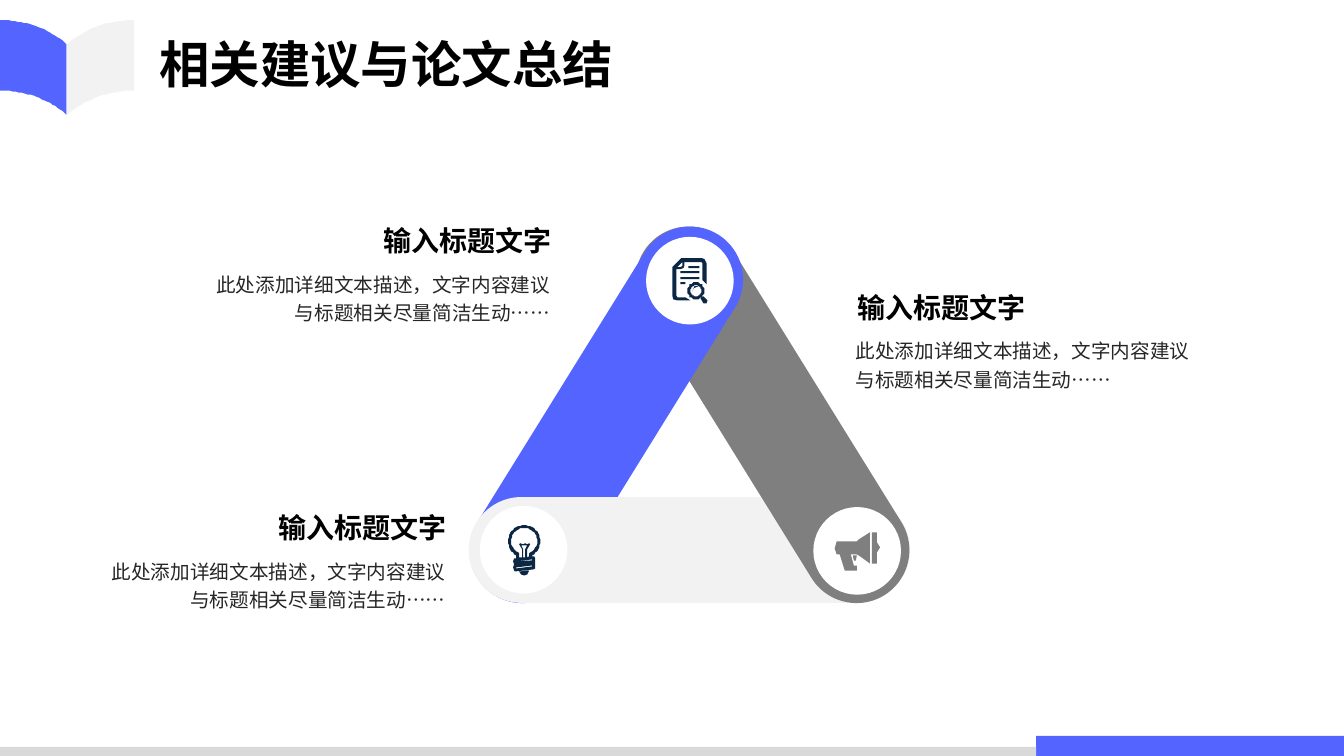
"""Build a summary slide with a three-sided loop of pills, icons and labels."""
from dataclasses import dataclass
from math import cos, radians, sin

from pptx import Presentation
from pptx.dml.color import RGBColor
from pptx.enum import lang, shapes, text
from pptx.util import Pt

Point = tuple[float, float]
Contour = list[Point]


@dataclass(frozen=True)
class Theme:
    blue: str = "5465FF"
    gray: str = "7F7F7F"
    light: str = "F2F2F2"
    rule: str = "D9D9D9"
    white: str = "FFFFFF"
    navy: str = "0C2744"
    black: str = "000000"
    body: str = "262626"
    title_font: str = "Noto Sans CJK SC"
    text_font: str = "Arial"
    title_size: float = 36
    heading_size: float = 20
    body_size: float = 14


@dataclass(frozen=True)
class Block:
    kind: shapes.MSO_SHAPE
    left: float
    top: float
    width: float
    height: float
    color: str
    rotation: float = 0


@dataclass(frozen=True)
class Outline:
    left: float
    top: float
    contours: list[Contour]
    color: str


@dataclass(frozen=True)
class Label:
    heading_left: float
    body_left: float
    top: float
    align: text.PP_ALIGN


THEME = Theme()
GRID = Pt(0.72)
PILL = 75.6
DISC = 62.6
HEADING = "输入标题文字"
BODY = "此处添加详细文本描述，文字内容建议与标题相关尽量简洁生动……"
RECT, ROUND, OVAL = (shapes.MSO_SHAPE.RECTANGLE, shapes.MSO_SHAPE.ROUNDED_RECTANGLE,
                     shapes.MSO_SHAPE.OVAL)
LEFT, RIGHT = text.PP_ALIGN.LEFT, text.PP_ALIGN.RIGHT


def arc(cx: float, cy: float, r: float, start: float = 0, end: float = 360,
        steps: int = 40) -> Contour:
    angles = [radians(start + (end - start) * i / steps) for i in range(steps + 1)]
    return [(cx + r * cos(a), cy + r * sin(a)) for a in angles]


def bezier(a: Point, b: Point, c: Point, d: Point, steps: int = 24) -> Contour:
    weights = [((1 - t) ** 3, 3 * t * (1 - t) ** 2, 3 * t * t * (1 - t), t ** 3)
               for t in (i / steps for i in range(steps + 1))]
    return [(sum(w * p[0] for w, p in zip(ws, (a, b, c, d))),
             sum(w * p[1] for w, p in zip(ws, (a, b, c, d)))) for ws in weights]


def bar(x: float, y: float, width: float) -> Contour:
    return [(x, y), (x + width, y), (x + width, y + 2), (x, y + 2)]


PAGE = (bezier((0, 90), (26, 90), (49, 99), (66.5, 114))
        + bezier((66.5, 44), (48, 28), (25, 20), (0, 20)))
DOCUMENT = [
    [(9, 0), (29, 0), (32, 1), (34, 5), (34, 26), (30, 22), (30, 5), (29, 4), (12, 4),
     (12, 8), (11, 10), (8, 11), (4, 11), (4, 37), (5, 39), (13, 39), (18, 42), (5, 42),
     (1, 41), (0, 37), (0, 9)],
    [(10, 4), (5, 9), (8, 9), (10, 8)],
    bar(8, 24, 5), bar(8, 19, 19), bar(8, 13, 19), bar(16, 8, 11),
    arc(23.5, 32.5, 8.5), arc(23.5, 32.5, 5.5),
    [(28, 40), (31, 45), (34, 45), (35, 42), (31, 38)],
    [(20, 33), (21, 30), (26, 28), (22, 28)],
]
BULB = [
    arc(16, 16, 16, 120, 420) + [
        (24, 31), (26, 31), (27, 33), (27, 43), (25, 44), (7, 46), (6, 45), (5, 42),
        (6, 39), (5, 36), (6, 33), (8, 33)],
    arc(16, 16, 13, 112, 428) + [
        (21, 31), (19, 32), (19, 24), (22, 19), (21, 18), (19, 19), (17, 18), (15, 19),
        (12, 18), (11, 19), (14, 24), (14, 32), (11, 32)],
    [(19, 20), (13, 20), (15, 24), (15, 32), (17, 32), (17, 24)],
    [(21, 45), (11, 46), (13, 49), (16, 50), (19, 49)],
    [(24, 40), (8, 42), (8, 43), (24, 41)],
    [(24, 34), (8, 36), (8, 36.5), (24, 35)],
]
MEGAPHONE = [
    [(2, 9), (22, 9), (24, 7), (35, 0), (35, 31), (24, 23), (22, 22), (16, 22), (19, 33),
     (22, 33), (22, 38), (10, 38), (5, 22), (2, 22), (0.5, 15.5)],
    [(42, 10), (45, 15), (42, 20), (42, 31), (37, 31), (37, 0), (42, 0)],
    [(22, 23), (18, 23), (19, 28), (21, 28)],
]

BLOCKS = [
    Block(RECT, 740.2, 525.6, 219.8, 14.4, THEME.blue),
    Block(RECT, 0, 533.5, 740.2, 6.5, THEME.rule),
    Block(ROUND, 336.2, 355, 313.9, PILL, THEME.light),
    Block(ROUND, 400.3, 258.5, 303.1, PILL, THEME.gray, 58.2),
    Block(ROUND, 281.5, 258.5, 303.1, PILL, THEME.blue, 301.8),
    Block(ROUND, 334.8, 355, 162, PILL, THEME.light),
    Block(OVAL, 461.5, 169.2, DISC, DISC, THEME.white),
    Block(OVAL, 342.7, 361.4, DISC, DISC, THEME.white),
    Block(OVAL, 581, 362.2, DISC, DISC, THEME.white),
]
OUTLINES = [
    Outline(0, 0, [[(133 - x, y) for x, y in PAGE]], THEME.light),
    Outline(0, 0, [PAGE], THEME.blue),
    Outline(480.2, 184.3, DOCUMENT, THEME.navy),
    Outline(362.9, 375.1, BULB, THEME.navy),
    Outline(596.2, 380.2, MEGAPHONE, THEME.gray),
]
LABELS = [
    Label(189.4, 134.6, 156.2, RIGHT),
    Label(114.5, 59.8, 361.4, RIGHT),
    Label(527.8, 604.1, 203.8, LEFT),
]


def paint(sp, color: str) -> None:
    sp.shadow.inherit = False
    sp.fill.solid()
    sp.fill.fore_color.rgb = RGBColor.from_string(color)
    sp.line.fill.background()


def draw_block(s, block: Block) -> None:
    sp = s.shapes.add_shape(block.kind, Pt(block.left), Pt(block.top),
                            Pt(block.width), Pt(block.height))
    if block.kind == ROUND:
        sp.adjustments[0] = 0.5
    sp.rotation = block.rotation
    paint(sp, block.color)


def draw_outline(s, outline: Outline) -> None:
    first, *others = outline.contours
    builder = s.shapes.build_freeform(*first[0], scale=GRID)
    builder.add_line_segments(first[1:])
    for contour in others:
        builder.move_to(*contour[0])
        builder.add_line_segments(contour[1:])
    paint(builder.convert_to_shape(Pt(outline.left), Pt(outline.top)), outline.color)


def write(sp, words: str, font: str, size: float, color: str, bold: bool,
          align: text.PP_ALIGN, spacing: float = 1) -> None:
    tf = sp.text_frame
    tf.word_wrap = True
    tf.text = words
    p = tf.paragraphs[0]
    p.alignment, p.line_spacing = align, spacing
    r = p.runs[0]
    r.font.name, r.font.size, r.font.bold = font, Pt(size), bold
    r.font.color.rgb = RGBColor.from_string(color)
    r.font.language_id = lang.MSO_LANGUAGE_ID.SIMPLIFIED_CHINESE


def draw_label(s, label: Label) -> None:
    heading = s.shapes.add_textbox(Pt(label.heading_left), Pt(label.top), Pt(211.7), Pt(31.7))
    write(heading, HEADING, THEME.text_font, THEME.heading_size, THEME.black, True, RIGHT)
    body = s.shapes.add_textbox(Pt(label.body_left), Pt(label.top + 31.7), Pt(265.7), Pt(48.2))
    write(body, BODY, THEME.text_font, THEME.body_size, THEME.body, False, label.align, 1.2)
    for sp in (heading, body):
        sp.text_frame.auto_size = text.MSO_AUTO_SIZE.SHAPE_TO_FIT_TEXT


def draw_title(s, words: str) -> None:
    sp = s.shapes.title
    sp.left, sp.top, sp.width, sp.height = Pt(113.8), Pt(30.2), Pt(339.1), Pt(30.2)
    write(sp, words, THEME.title_font, THEME.title_size, THEME.black, True, LEFT)
    tf = sp.text_frame
    tf.auto_size = text.MSO_AUTO_SIZE.NONE
    tf.vertical_anchor = text.MSO_ANCHOR.MIDDLE
    tf.margin_left = tf.margin_right = Pt(0)


def main() -> None:
    prs = Presentation()
    prs.slide_width, prs.slide_height = Pt(960), Pt(540)
    s = prs.slides.add_slide(prs.slide_layouts[5])
    draw_title(s, "相关建议与论文总结")
    for block in BLOCKS:
        draw_block(s, block)
    for outline in OUTLINES:
        draw_outline(s, outline)
    for label in LABELS:
        draw_label(s, label)
    prs.save("out.pptx")


if __name__ == "__main__":
    main()
